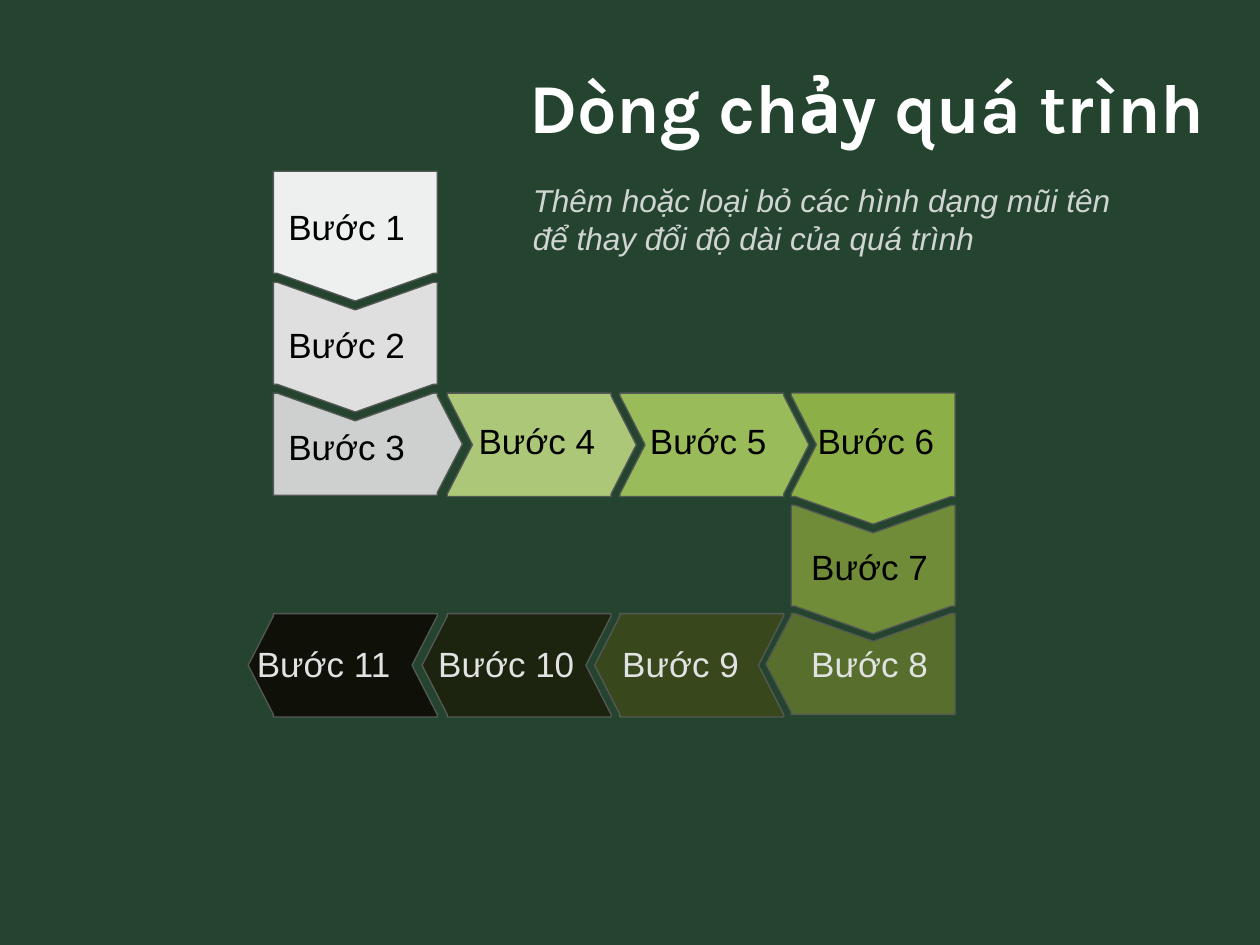
import pptx
import pptx.dml.color
import pptx.enum.text
import pptx.util

Inches = pptx.util.Inches
COLUMNS = [2.17, 3.55, 4.92, 6.28]
ROWS = [1.36, 2.24, 3.12, 4.01, 4.87]
LABEL_ROWS = [1.58, 2.52, 3.28, 4.28, 5.05]
WIDTH, MIDDLE, LIP = 1.3, 0.65, 0.03   # arrow body
SIDE_TIP, DOWN_TIP, SHOULDER = 0.2, 0.22, 0.02


def colour(value):
    return pptx.dml.color.RGBColor.from_string(value)


def write(frame, text, size, font, value, bold=False, italic=False):
    para = frame.paragraphs[0]
    para.alignment = pptx.enum.text.PP_ALIGN.LEFT
    span = para.add_run()
    span.text = text
    span.font.size = pptx.util.Pt(size)
    span.font.name = font
    span.font.bold = bold
    span.font.italic = italic
    span.font.color.rgb = colour(value)


deck = pptx.Presentation()
deck.slide_width, deck.slide_height = Inches(10), Inches(7.5)
page = deck.slides.add_slide(deck.slide_layouts[5])
page.background.fill.solid()
page.background.fill.fore_color.rgb = colour("254430")

# Title
title = page.shapes.title
title.left, title.top = Inches(4.2), Inches(0.49)
title.width, title.height = Inches(5.67), Inches(0.7)
frame = title.text_frame
frame.margin_left = frame.margin_right = 0
frame.margin_top = frame.margin_bottom = Inches(0.05)
frame.vertical_anchor = pptx.enum.text.MSO_ANCHOR.MIDDLE
frame.word_wrap = True
frame.auto_size = pptx.enum.text.MSO_AUTO_SIZE.NONE
write(frame, "Dòng chảy quá trình", 40, "Karla", "FFFFFF", bold=True)

# Subtitle
box = page.shapes.add_textbox(Inches(4.13), Inches(1.39), Inches(5.02), Inches(0.71))
box.text_frame.word_wrap = True
write(box.text_frame,
      "Thêm hoặc loại bỏ các hình dạng mũi tên để thay đổi độ dài của quá trình",
      18, "Arial", "D0D5D1", italic=True)

# Steps: column, row, body height, side entered, side left, fill, label left
steps = [
    (0, 0, 0.81, None, "down", "EEEFEF", 2.19),
    (0, 1, 0.81, "top", "down", "DEDFDE", 2.19),
    (0, 2, 0.81, "top", "right", "CDD0CE", 2.19),
    (1, 2, 0.82, "side", "right", "ACC777", 3.7),
    (2, 2, 0.82, "side", "right", "9ABB59", 5.06),
    (3, 2, 0.82, "side", "down", "8CAF47", 6.39),
    (3, 3, 0.8, "top", "down", "708C38", 6.34),
    (3, 4, 0.8, "top", "left", "586E2C", 6.34),
    (2, 4, 0.82, "side", "left", "39471D", 4.84),
    (1, 4, 0.82, "side", "left", "1C230F", 3.38),
    (0, 4, 0.82, "side", "left", "0F1109", 1.94),
]

# Arrows, last step at the back
for column, row, height, entry, leave, fill, _ in reversed(steps):
    outline = [(0, 0)]
    if entry == "top":
        outline += [(LIP, 0), (MIDDLE, DOWN_TIP), (WIDTH - LIP, 0)]
    outline.append((WIDTH, 0))
    if leave in ("right", "left"):
        outline += [(WIDTH, SHOULDER), (WIDTH + SIDE_TIP, height / 2),
                    (WIDTH, height - SHOULDER)]
    outline.append((WIDTH, height))
    if leave == "down":
        outline += [(WIDTH - LIP, height), (MIDDLE, height + DOWN_TIP), (LIP, height)]
    outline.append((0, height))
    if entry == "side":
        outline += [(0, height - SHOULDER), (SIDE_TIP, height / 2), (0, SHOULDER)]
    if leave == "left":
        outline = [(WIDTH - x, y) for x, y in outline]
    points = [(Inches(COLUMNS[column] + x), Inches(ROWS[row] + y)) for x, y in outline]
    builder = page.shapes.build_freeform(*points[0])
    builder.add_line_segments(points[1:], close=True)
    arrow = builder.convert_to_shape()
    arrow.shadow.inherit = False
    arrow.fill.solid()
    arrow.fill.fore_color.rgb = colour(fill)
    arrow.line.color.rgb = colour("555956")
    arrow.line.width = 0

# Labels
for number, (_, row, _, entry, leave, _, left) in enumerate(steps, start=1):
    top = LABEL_ROWS[row]
    if (entry, leave) == ("top", "right"):
        top += 0.05   # clears the notch above
    width = 1.23 if number < 10 else 1.4
    label = page.shapes.add_textbox(Inches(left), Inches(top), Inches(width), Inches(0.47))
    label.text_frame.word_wrap = False
    label.text_frame.auto_size = pptx.enum.text.MSO_AUTO_SIZE.SHAPE_TO_FIT_TEXT
    write(label.text_frame, f"Bước {number}", 20, "Arial",
          "000000" if number < 8 else "E0E3E1")

deck.save("out.pptx")
